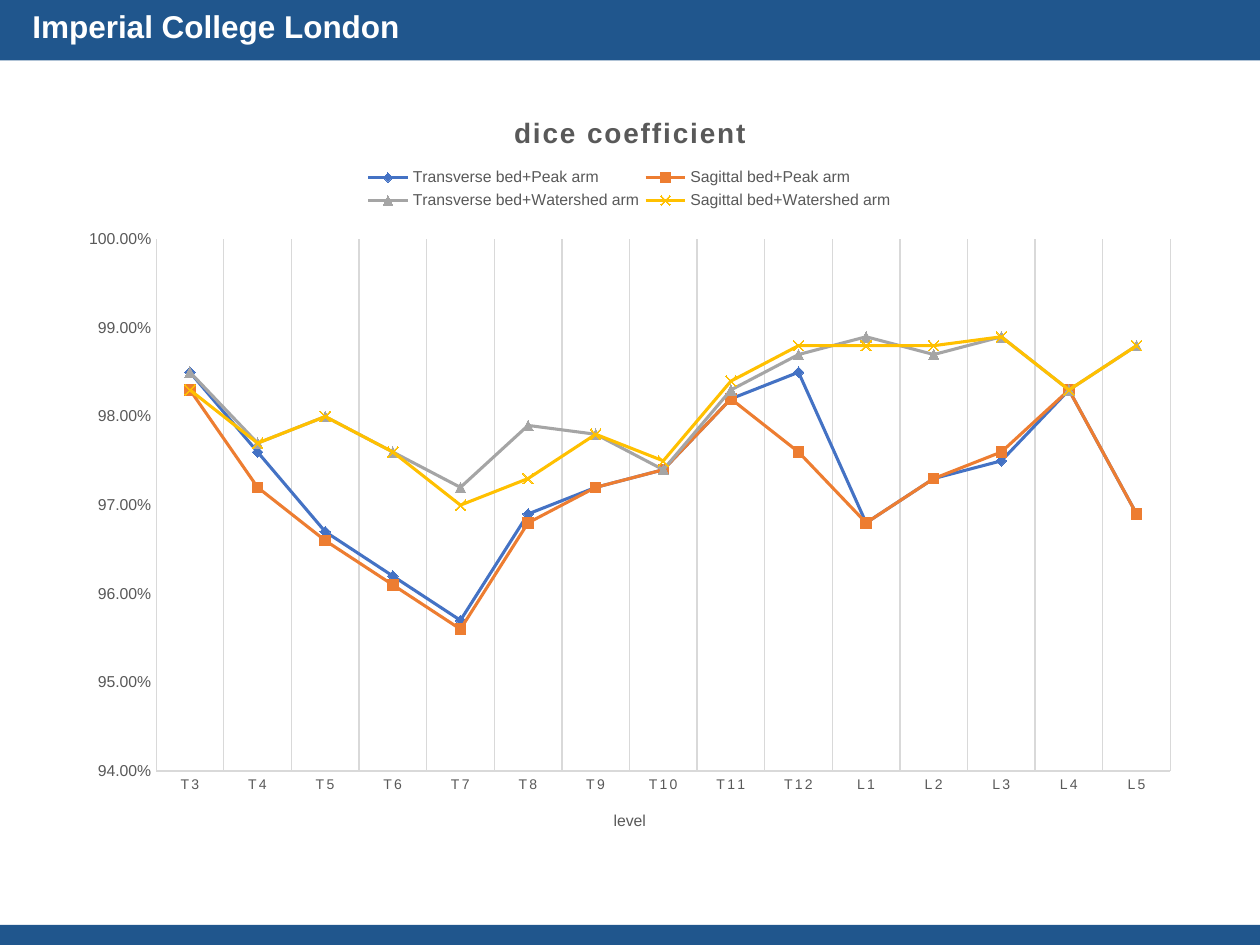
import pptx
import pptx.util
import pptx.chart.data
import pptx.dml.color
import pptx.enum.chart
import pptx.enum.shapes
import pptx.enum.text
import pptx.oxml
import pptx.oxml.ns
from dataclasses import dataclass

Inches, Pt = pptx.util.Inches, pptx.util.Pt
MARKER = pptx.enum.chart.XL_MARKER_STYLE
qn = pptx.oxml.ns.qn


@dataclass(frozen=True)
class Theme:
    font: str = "Arial"
    band: str = "20568D"
    white: str = "FFFFFF"
    text: str = "595959"
    rule: str = "D9D9D9"
    header_size: int = 18
    title_size: int = 16
    label_size: int = 9
    level_size: int = 8
    spacing: str = "120"
    rule_width: float = 0.75
    line_width: float = 1.75
    marker_size: int = 6


THEME = Theme()
LEVELS = [f"T{i}" for i in range(3, 13)] + [f"L{i}" for i in range(1, 6)]

# Name, colour, marker, dice coefficient for each level
SERIES = [
    ("Transverse bed+Peak arm", "4472C4", MARKER.DIAMOND,
     [0.985, 0.976, 0.967, 0.962, 0.957, 0.969, 0.972, 0.974,
      0.982, 0.985, 0.968, 0.973, 0.975, 0.983, 0.969]),
    ("Sagittal bed+Peak arm", "ED7D31", MARKER.SQUARE,
     [0.983, 0.972, 0.966, 0.961, 0.956, 0.968, 0.972, 0.974,
      0.982, 0.976, 0.968, 0.973, 0.976, 0.983, 0.969]),
    ("Transverse bed+Watershed arm", "A5A5A5", MARKER.TRIANGLE,
     [0.985, 0.977, 0.98, 0.976, 0.972, 0.979, 0.978, 0.974,
      0.983, 0.987, 0.989, 0.987, 0.989, 0.983, 0.988]),
    ("Sagittal bed+Watershed arm", "FFC000", MARKER.X,
     [0.983, 0.977, 0.98, 0.976, 0.97, 0.973, 0.978, 0.975,
      0.984, 0.988, 0.988, 0.988, 0.989, 0.983, 0.988]),
]


def rgb(value):
    return pptx.dml.color.RGBColor.from_string(value)


def style_font(font, size, color, bold=False):
    font.name, font.size, font.bold = THEME.font, Pt(size), bold
    font.color.rgb = rgb(color)


def style_line(line, color, width):
    line.color.rgb = rgb(color)
    line.width = Pt(width)


def add_band(s, left, top, width, height):
    sp = s.shapes.add_shape(pptx.enum.shapes.MSO_SHAPE.RECTANGLE,
                            left, top, width, height)
    sp.shadow.inherit = False
    sp.fill.solid()
    sp.fill.fore_color.rgb = rgb(THEME.band)
    sp.line.fill.background()


def add_header_text(s, left, top, width, height):
    tf = s.shapes.add_textbox(left, top, width, height).text_frame
    tf.word_wrap = False
    tf.auto_size = pptx.enum.text.MSO_AUTO_SIZE.SHAPE_TO_FIT_TEXT
    p = tf.paragraphs[0]
    p.alignment = pptx.enum.text.PP_ALIGN.CENTER
    r = p.add_run()
    r.text = "Imperial College London"
    style_font(r.font, THEME.header_size, THEME.white, bold=True)


def add_title_run(tf, text, size, bold=False):
    r = tf.paragraphs[0].add_run()
    r.text = text
    style_font(r.font, size, THEME.text, bold)
    return r


def set_layout(parent, index, box, frame, inner=False):
    """Place a chart part at a box within the chart frame."""
    for old in parent.findall(qn("c:layout")):
        parent.remove(old)
    left, top, width, height = box
    x0, y0, w, h = frame
    parts = [("layoutTarget", "inner")] if inner else []
    parts += [("xMode", "edge"), ("yMode", "edge"),
              ("x", (left - x0) / w), ("y", (top - y0) / h),
              ("w", width / w), ("h", height / h)]
    body = "".join(f'<c:{tag} val="{val}"/>' for tag, val in parts)
    parent.insert(index, pptx.oxml.parse_xml(
        f'<c:layout {pptx.oxml.ns.nsdecls("c")}>'
        f"<c:manualLayout>{body}</c:manualLayout></c:layout>"))


def style_axis(axis, size):
    axis.major_tick_mark = axis.minor_tick_mark = pptx.enum.chart.XL_TICK_MARK.NONE
    style_font(axis.tick_labels.font, size, THEME.text)
    style_line(axis.format.line, THEME.rule, THEME.rule_width)


def add_dice_chart(s, left, top, width, height):
    frame = (left, top, width, height)
    data = pptx.chart.data.CategoryChartData(number_format="0.00%")
    data.categories = LEVELS
    for name, _, _, coefficients in SERIES:
        data.add_series(name, coefficients)
    chart = s.shapes.add_chart(pptx.enum.chart.XL_CHART_TYPE.LINE_MARKERS,
                               *frame, data).chart
    style_font(chart.font, THEME.label_size, THEME.text)
    chart.plots[0].vary_by_categories = False

    # Title
    chart.has_title = True
    r = add_title_run(chart.chart_title.text_frame, "dice coefficient",
                      THEME.title_size, bold=True)
    r.font._element.set("spc", THEME.spacing)
    chart.chart_title.include_in_layout = False

    # Legend in two columns
    chart.has_legend = True
    legend = chart.legend
    legend.position = pptx.enum.chart.XL_LEGEND_POSITION.TOP
    legend.include_in_layout = False
    style_font(legend.font, THEME.label_size, THEME.text)
    legend_box = (left + Inches(2.34), top + Inches(0.6), Inches(4.25), Inches(0.4))
    set_layout(legend._element, 1, legend_box, frame)

    # Axes
    levels, values = chart.category_axis, chart.value_axis
    style_axis(levels, THEME.level_size)
    levels.tick_labels.font._element.set("spc", THEME.spacing)
    levels.has_major_gridlines = True
    style_line(levels.major_gridlines.format.line, THEME.rule, THEME.rule_width)
    add_title_run(levels.axis_title.text_frame, "level", THEME.label_size)
    style_axis(values, THEME.label_size)
    values.has_major_gridlines = False
    values.minimum_scale, values.maximum_scale = 0.94, 1
    values.major_unit = 0.01
    values.tick_labels.number_format = "0.00%"
    values.tick_labels.number_format_is_linked = False
    plot_box = (left + Inches(0.71), top + Inches(1.2), Inches(8.05), Inches(4.22))
    set_layout(chart._chartSpace.chart.plotArea, 0, plot_box, frame, inner=True)

    # Series
    for ser, (_, color, marker, _) in zip(chart.plots[0].series, SERIES):
        ser.smooth = False
        style_line(ser.format.line, color, THEME.line_width)
        ser.marker.style, ser.marker.size = marker, THEME.marker_size
        fill = ser.marker.format.fill
        if marker == MARKER.X:
            fill.background()
        else:
            fill.solid()
            fill.fore_color.rgb = rgb(color)
        style_line(ser.marker.format.line, color, THEME.rule_width)


def main():
    prs = pptx.Presentation()
    prs.slide_width, prs.slide_height = Inches(10), Inches(7.5)
    s = prs.slides.add_slide(prs.slide_layouts[6])
    # Header and footer
    add_band(s, 0, Inches(-0.04), prs.slide_width, Inches(0.52))
    add_band(s, 0, Inches(7.34), prs.slide_width, Inches(0.16))
    add_header_text(s, Inches(0.14), Inches(0.01), Inches(3.15), Inches(0.4))
    # Body
    add_dice_chart(s, Inches(0.53), Inches(0.7), Inches(8.94), Inches(6.09))
    prs.save("out.pptx")


if __name__ == "__main__":
    main()
